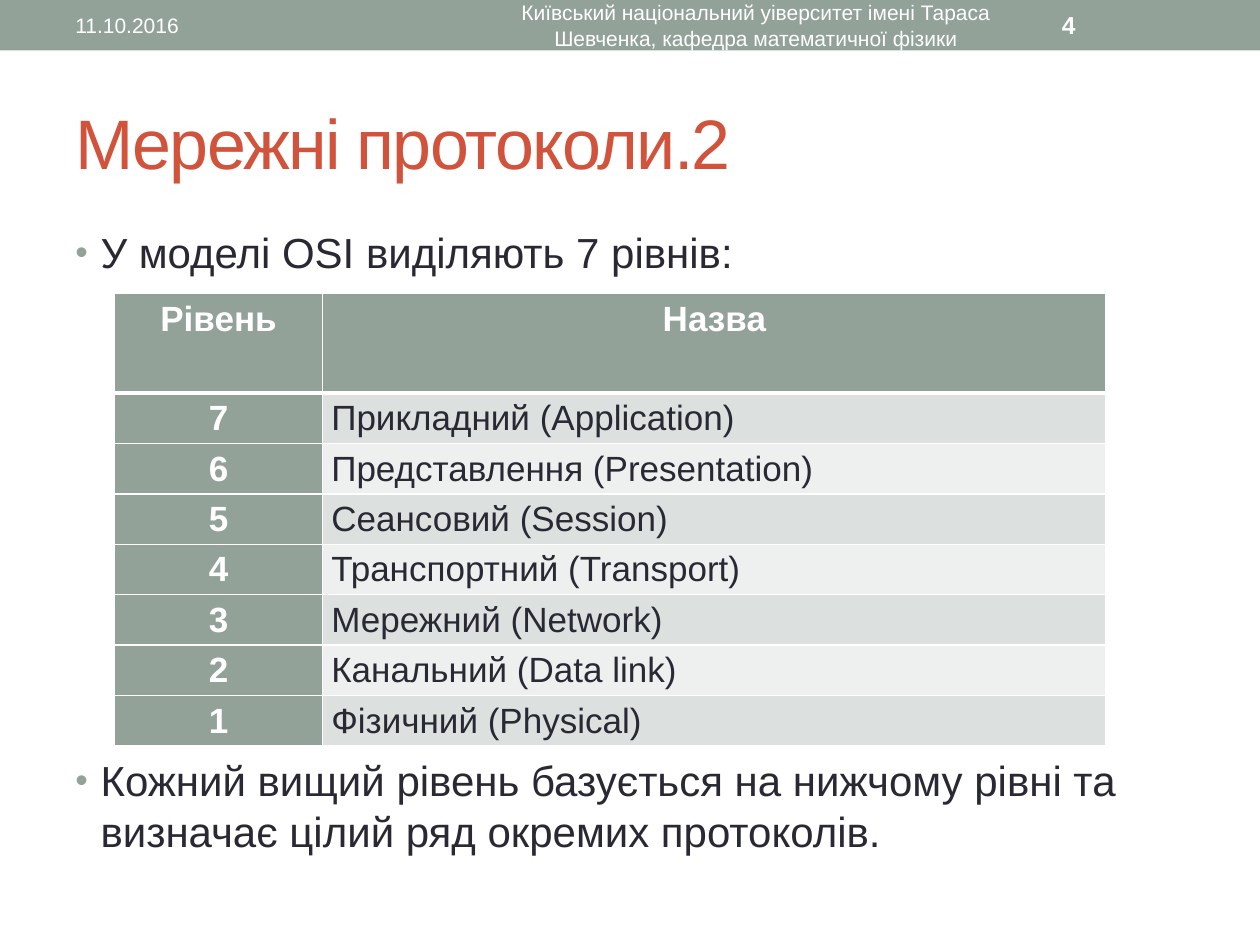
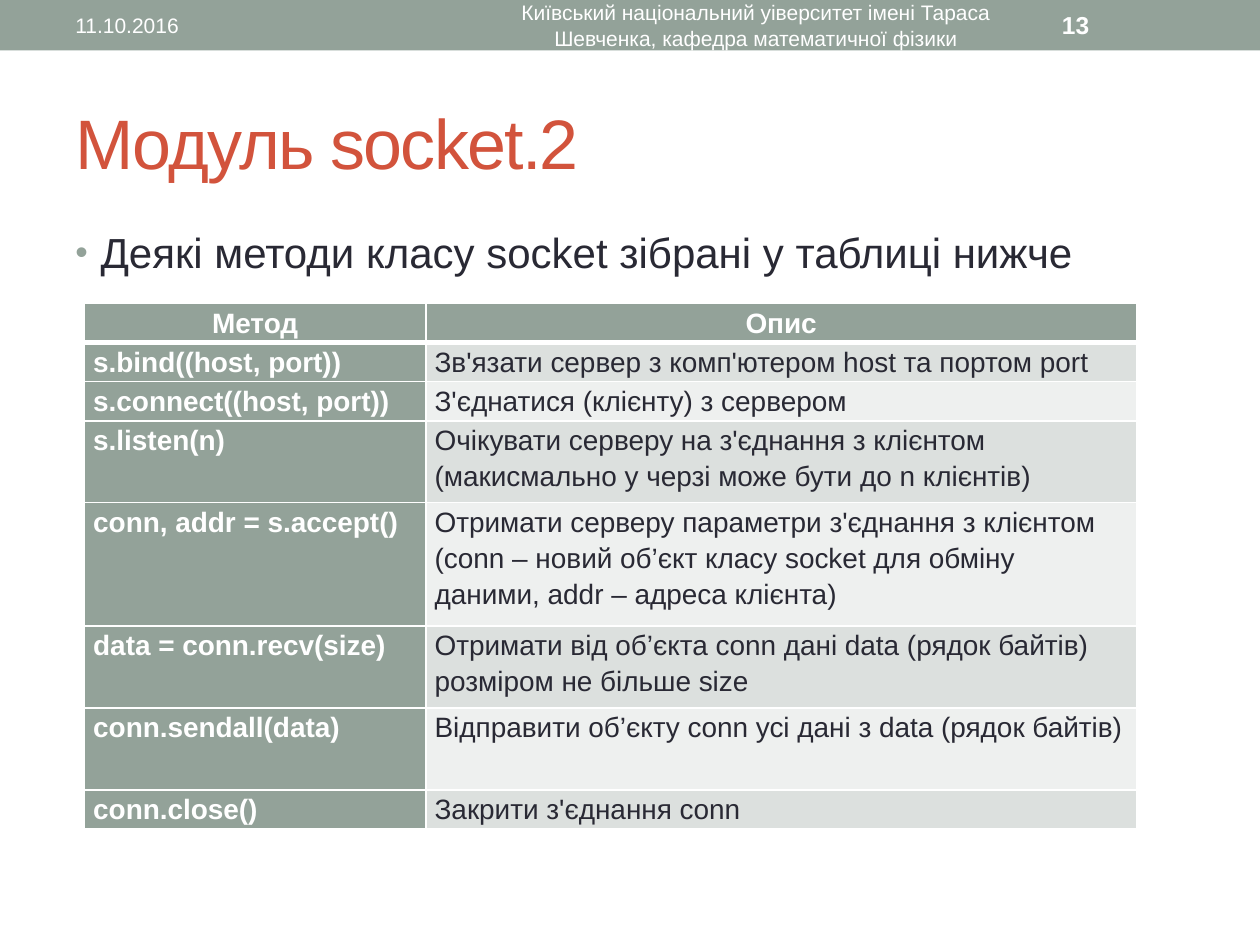
"""Build two lecture slides on network protocols and the socket module."""
import pptx
import pptx.util
import pptx.dml.color
import pptx.enum.shapes
import pptx.enum.text
import pptx.oxml.ns
import lxml.etree

Inches = pptx.util.Inches
Pt = pptx.util.Pt
ALIGN = pptx.enum.text.PP_ALIGN
ANCHOR = pptx.enum.text.MSO_ANCHOR
HUES = {"sage": "93A299", "rust": "D2533C", "ink": "292934", "white": "FFFFFF",
        "dark": "DCE0DE", "pale": "EEF0EF"}
FOOTER = "Київський національний уіверситет імені Тараса Шевченка, кафедра математичної фізики"

SLIDES = [
    {"page": "4", "title": "Мережні протоколи.2",
     "points": ["У моделі OSI виділяють 7 рівнів:",
                "Кожний вищий рівень базується на нижчому рівні та визначає цілий ряд окремих протоколів."],
     "place": (0.91, 2.33), "cols": [1.65, 6.22], "size": 20, "keys": ALIGN.CENTER,
     "highs": [0.79] + [0.4] * 7,
     "rows": [("Рівень", "Назва"),
              ("7", "Прикладний (Application)"),
              ("6", "Представлення (Presentation)"),
              ("5", "Сеансовий (Session)"),
              ("4", "Транспортний (Transport)"),
              ("3", "Мережний (Network)"),
              ("2", "Канальний (Data link)"),
              ("1", "Фізичний (Physical)")]},
    {"page": "13", "title": "Модуль socket.2",
     "points": ["Деякі методи класу socket зібрані у таблиці нижче"],
     "place": (0.67, 2.41), "cols": [2.71, 5.64], "size": 16, "keys": ALIGN.LEFT,
     "highs": [0.31, 0.31, 0.31, 0.65, 0.98, 0.65, 0.65, 0.31],
     "rows": [("Метод", "Опис"),
              ("s.bind((host, port))", "Зв'язати сервер з комп'ютером host та портом port"),
              ("s.connect((host, port))", "З'єднатися (клієнту) з сервером"),
              ("s.listen(n)",
               "Очікувати серверу на з'єднання з клієнтом (макисмально у черзі може бути до n клієнтів)"),
              ("conn, addr = s.accept()",
               "Отримати серверу параметри з'єднання з клієнтом (conn – новий об’єкт класу socket "
               "для обміну даними, addr – адреса клієнта)"),
              ("data = conn.recv(size)",
               "Отримати від об’єкта conn дані data (рядок байтів) розміром не більше size"),
              ("conn.sendall(data)", "Відправити об’єкту conn усі дані з data (рядок байтів)"),
              ("conn.close()", "Закрити з'єднання conn")]},
]


def write(para, text, size, hue, bold=False, align=ALIGN.LEFT):
    para.alignment = align
    run = para.add_run()
    run.text = text
    run.font.name = "Arial"
    run.font.size = Pt(size)
    run.font.bold = bold
    run.font.color.rgb = pptx.dml.color.RGBColor.from_string(HUES[hue])
    return run


def child(node, tag, **attrs):
    return lxml.etree.SubElement(node, pptx.oxml.ns.qn("a:" + tag), attrs)


deck = pptx.Presentation()
deck.slide_width = Inches(10)
deck.slide_height = Inches(7.5)

for data in SLIDES:
    slide = deck.slides.add_slide(deck.slide_layouts[6])
    band = slide.shapes.add_shape(pptx.enum.shapes.MSO_SHAPE.RECTANGLE, 0, 0, Inches(10), Inches(0.4))
    band.shadow.inherit = False
    band.fill.solid()
    band.fill.fore_color.rgb = pptx.dml.color.RGBColor.from_string(HUES["sage"])
    band.line.fill.background()

    frames = []
    for left, top, width, height in [(0.5, 0.58, 9, 1.08), (0.5, 1.75, 9, 5.33), (0.5, 0.02, 3.17, 0.36),
                                     (3.75, 0.02, 4.5, 0.36), (8.33, 0.02, 1.17, 0.36)]:
        box = slide.shapes.add_textbox(Inches(left), Inches(top), Inches(width), Inches(height))
        box.text_frame.word_wrap = True
        box.text_frame.vertical_anchor = ANCHOR.MIDDLE
        frames.append(box.text_frame)
    title, body, date, footer, page = frames

    run = write(title.paragraphs[0], data["title"], 40, "rust")
    run.font._element.set("spc", "-100")
    write(date.paragraphs[0], "11.10.2016", 12, "white")
    write(footer.paragraphs[0], FOOTER, 12, "white", align=ALIGN.CENTER)
    write(page.paragraphs[0], data["page"], 14, "white", bold=True)

    body.vertical_anchor = ANCHOR.TOP
    for num, point in enumerate(data["points"]):
        para = body.add_paragraph() if num else body.paragraphs[0]
        write(para, point, 24, "ink")
        para.space_before = Pt(273 if num else 4.8)
        props = para._p.get_or_add_pPr()
        props.set("marL", str(Inches(0.2)))
        props.set("indent", str(Inches(-0.2)))
        child(child(props, "buClr"), "srgbClr", val=HUES["sage"])
        child(props, "buSzPct", val="85000")
        child(props, "buFont", typeface="Arial")
        child(props, "buChar", char="•")

    left, top = data["place"]
    grid = slide.shapes.add_table(len(data["rows"]), 2, Inches(left), Inches(top),
                                  Inches(sum(data["cols"])), Inches(sum(data["highs"]))).table
    grid.first_col = True
    for col, width in zip(grid.columns, data["cols"]):
        col.width = Inches(width)
    for row, height in zip(grid.rows, data["highs"]):
        row.height = Inches(height)
    for i, texts in enumerate(data["rows"]):
        for j, text in enumerate(texts):
            cell = grid.cell(i, j)
            cell.margin_left = cell.margin_right = Inches(0.07)
            cell.margin_top = cell.margin_bottom = 0
            head = i == 0 or j == 0
            align = ALIGN.CENTER if i == 0 else data["keys"] if j == 0 else ALIGN.LEFT
            para = cell.text_frame.paragraphs[0]
            para.line_spacing = 1.15
            write(para, text, data["size"], "white" if head else "ink", head, align)
            thick = {"lnB": 3} if i == 0 else {"lnT": 3} if i == 1 else {}
            for side in ("lnL", "lnR", "lnT", "lnB"):
                line = child(cell._tc.get_or_add_tcPr(), side, w=str(Pt(thick.get(side, 1))))
                child(child(line, "solidFill"), "srgbClr", val=HUES["white"])
            cell.fill.solid()
            hue = "sage" if head else "dark" if i % 2 else "pale"
            cell.fill.fore_color.rgb = pptx.dml.color.RGBColor.from_string(HUES[hue])

deck.save("out.pptx")
